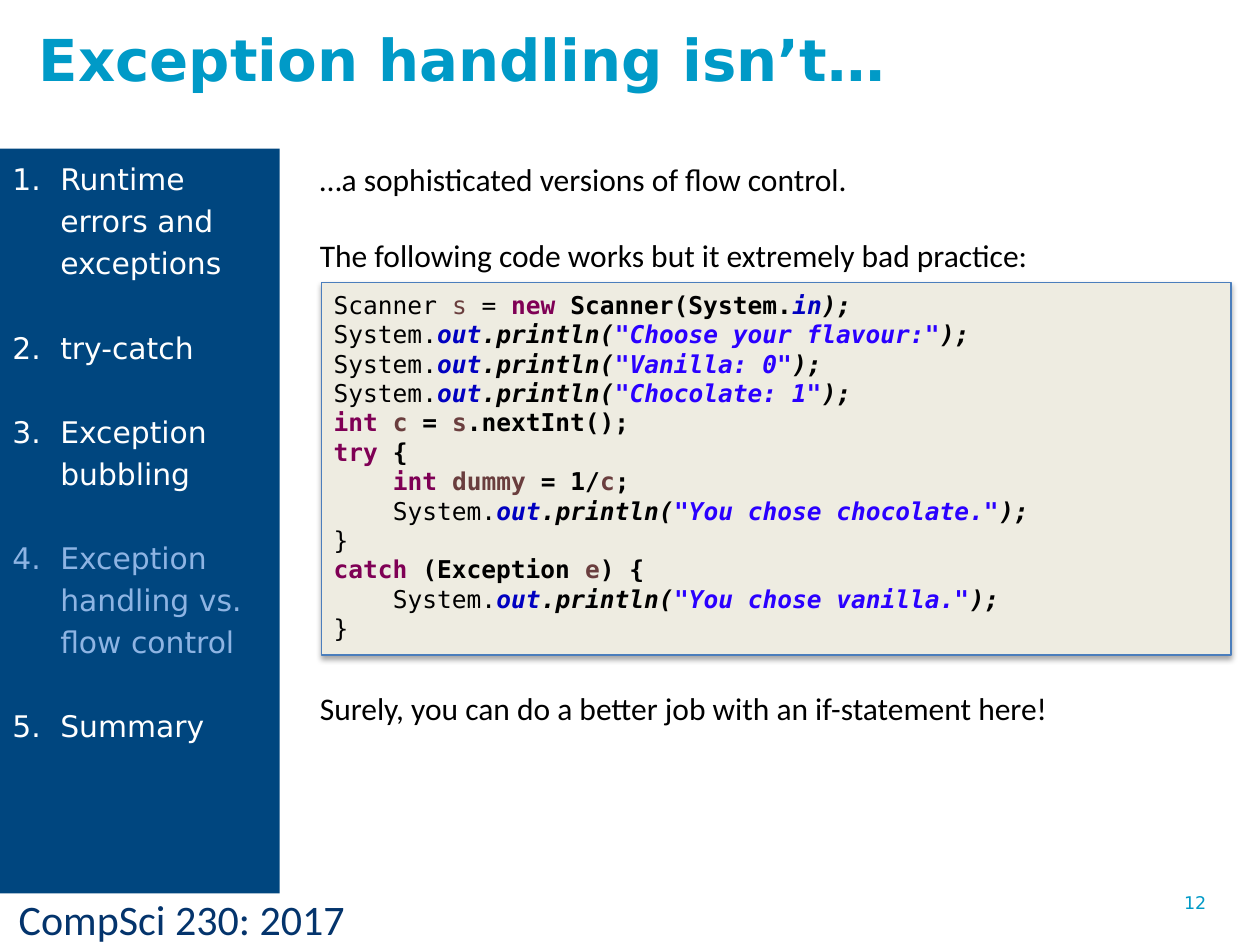
"""Build the slide on misusing exception handling as flow control."""
from lxml import etree
from pptx import Presentation
from pptx.dml.color import RGBColor
from pptx.enum.shapes import MSO_SHAPE
from pptx.enum.text import MSO_ANCHOR, PP_ALIGN
from pptx.oxml import parse_xml
from pptx.oxml.ns import qn
from pptx.util import Inches, Pt

RECTANGLE = MSO_SHAPE.RECTANGLE
TOP = MSO_ANCHOR.TOP
LEFT = PP_ALIGN.LEFT

BLACK = RGBColor(0x00, 0x00, 0x00)
WHITE = RGBColor(0xFF, 0xFF, 0xFF)
CYAN = RGBColor(0x00, 0x9A, 0xC7)
NAVY = RGBColor(0x04, 0x34, 0x6C)
SIDEBAR_BLUE = RGBColor(0x00, 0x46, 0x7F)
CURRENT_BLUE = RGBColor(0x8E, 0xB4, 0xE3)
PANEL_FILL = RGBColor(0xEE, 0xEC, 0xE1)
PANEL_LINE = RGBColor(0x4B, 0x7E, 0xBC)
KEYWORD = RGBColor(0x7F, 0x00, 0x55)
VARIABLE = RGBColor(0x6A, 0x3E, 0x3E)
FIELD = RGBColor(0x00, 0x00, 0xC0)
STRING = RGBColor(0x2A, 0x00, 0xFF)

SANS, MONO, BODY = "DejaVu Sans", "DejaVu Sans Mono", "Calibri"

LABELS = [
    ("CompSci 230: 2017", (0.05, 7.04, 4.05, 0.5), BODY, 24, NAVY, False),
    ("12", (9.3, 7.03, 0.7, 0.47), SANS, 10, CYAN, False),
    ("Exception handling isn’t…", (0.21, 0.14, 7.13, 0.78), SANS, 33, CYAN, True),
]

REMARKS = [
    ("…a sophisticated versions of flow control.", 0),
    ("The following code works but it extremely bad practice:", 22),
    ("Surely, you can do a better job with an if-statement here!", 237),
]

TOPICS = [
    "Runtime errors and exceptions",
    "try-catch",
    "Exception bubbling",
    "Exception handling vs. flow control",
    "Summary",
]
CURRENT_TOPIC = 3

STYLES = {
    "plain": (BLACK, False, False),
    "local": (VARIABLE, False, False),
    "bold": (BLACK, True, False),
    "keyword": (KEYWORD, True, False),
    "variable": (VARIABLE, True, False),
    "field": (FIELD, True, True),
    "call": (BLACK, True, True),
    "string": (STRING, True, True),
}


def println(message):
    return [("System.", "plain"), ("out", "field"), (".println(", "call"),
            (f'"{message}"', "string"), (");", "call")]


CODE = [
    (0, [("Scanner ", "plain"), ("s", "local"), (" = ", "plain"), ("new", "keyword"),
         (" Scanner(System.", "bold"), ("in", "field"), (");", "call")]),
    (0, println("Choose your flavour:")),
    (0, println("Vanilla: 0")),
    (0, println("Chocolate: 1")),
    (0, [("int ", "keyword"), ("c", "variable"), (" = ", "bold"),
         ("s", "variable"), (".nextInt();", "bold")]),
    (0, [("try", "keyword"), (" {", "bold")]),
    (1, [("int ", "keyword"), ("dummy", "variable"), (" = 1/", "bold"),
         ("c", "variable"), (";", "bold")]),
    (1, println("You chose chocolate.")),
    (0, [("}", "plain")]),
    (0, [("catch", "keyword"), (" (Exception ", "bold"), ("e", "variable"), (") {", "bold")]),
    (1, println("You chose vanilla.")),
    (0, [("}", "plain")]),
]

CODE_INDENT = 0.47
NUMBER_INDENT = 0.38
PANEL_SHADOW = (
    '<a:effectLst xmlns:a="http://schemas.openxmlformats.org/drawingml/2006/main">'
    f'<a:outerShdw blurRad="{Pt(3.1)}" dist="{Pt(1.8)}" dir="5400000" rotWithShape="0">'
    '<a:srgbClr val="000000"><a:alpha val="35000"/></a:srgbClr>'
    '</a:outerShdw></a:effectLst>'
)


def style_run(run, font, size, color, bold=False, italic=False):
    run.font.name = font
    run.font.size = Pt(size)
    run.font.color.rgb = color
    run.font.bold = bold
    run.font.italic = italic


def add_text_frame(slide, place):
    frame = slide.shapes.add_textbox(*map(Inches, place)).text_frame
    frame.word_wrap = True
    return frame


def add_box(slide, place, fill):
    box = slide.shapes.add_shape(RECTANGLE, *map(Inches, place))
    box.shadow.inherit = False
    box.fill.solid()
    box.fill.fore_color.rgb = fill
    return box


def add_remarks(slide):
    frame = add_text_frame(slide, (2.44, 1.22, 7.39, 4.95))
    frame.text = "\n".join(text for text, _ in REMARKS)
    for paragraph, (_, gap) in zip(frame.paragraphs, REMARKS):
        paragraph.space_before = Pt(gap)
        style_run(paragraph.runs[0], BODY, 18, BLACK)


def add_code(slide):
    panel = add_box(slide, (2.55, 2.24, 7.22, 2.96), PANEL_FILL)
    panel.line.color.rgb = PANEL_LINE
    panel.line.width = Pt(0.75)
    properties = panel.element.spPr
    properties.replace(properties.find(qn("a:effectLst")), parse_xml(PANEL_SHADOW))

    frame = add_text_frame(slide, (2.55, 2.25, 7.29, 2.95))
    for number, (depth, tokens) in enumerate(CODE):
        line = frame.add_paragraph() if number else frame.paragraphs[0]
        line.line_spacing = Pt(16.8)
        line._p.get_or_add_pPr().set("marL", str(Inches(depth * CODE_INDENT)))
        for text, style in tokens:
            run = line.add_run()
            run.text = text
            style_run(run, MONO, 14, *STYLES[style])


def add_sidebar(slide):
    sidebar = add_box(slide, (0, 1.18, 2.22, 5.91), SIDEBAR_BLUE)
    sidebar.line.fill.background()
    frame = sidebar.text_frame
    frame.word_wrap = True
    frame.vertical_anchor = TOP
    frame.text = "\n".join(TOPICS)
    for index, topic in enumerate(frame.paragraphs):
        topic.alignment = LEFT
        topic.line_spacing = Pt(24)
        topic.space_after = Pt(24)
        properties = topic._p.get_or_add_pPr()
        properties.set("marL", str(Inches(NUMBER_INDENT)))
        properties.set("indent", str(-Inches(NUMBER_INDENT)))
        etree.SubElement(properties, qn("a:buFont"), typeface="+mj-lt")
        etree.SubElement(properties, qn("a:buAutoNum"), type="arabicPeriod")
        color = CURRENT_BLUE if index == CURRENT_TOPIC else WHITE
        style_run(topic.runs[0], SANS, 17, color)


def main():
    deck = Presentation()
    deck.slide_width, deck.slide_height = Inches(10), Inches(7.5)
    slide = deck.slides.add_slide(deck.slide_layouts[6])
    for text, place, font, size, color, bold in LABELS:
        frame = add_text_frame(slide, place)
        frame.text = text
        style_run(frame.paragraphs[0].runs[0], font, size, color, bold)
    add_remarks(slide)
    add_code(slide)
    add_sidebar(slide)
    deck.save("out.pptx")


if __name__ == "__main__":
    main()
